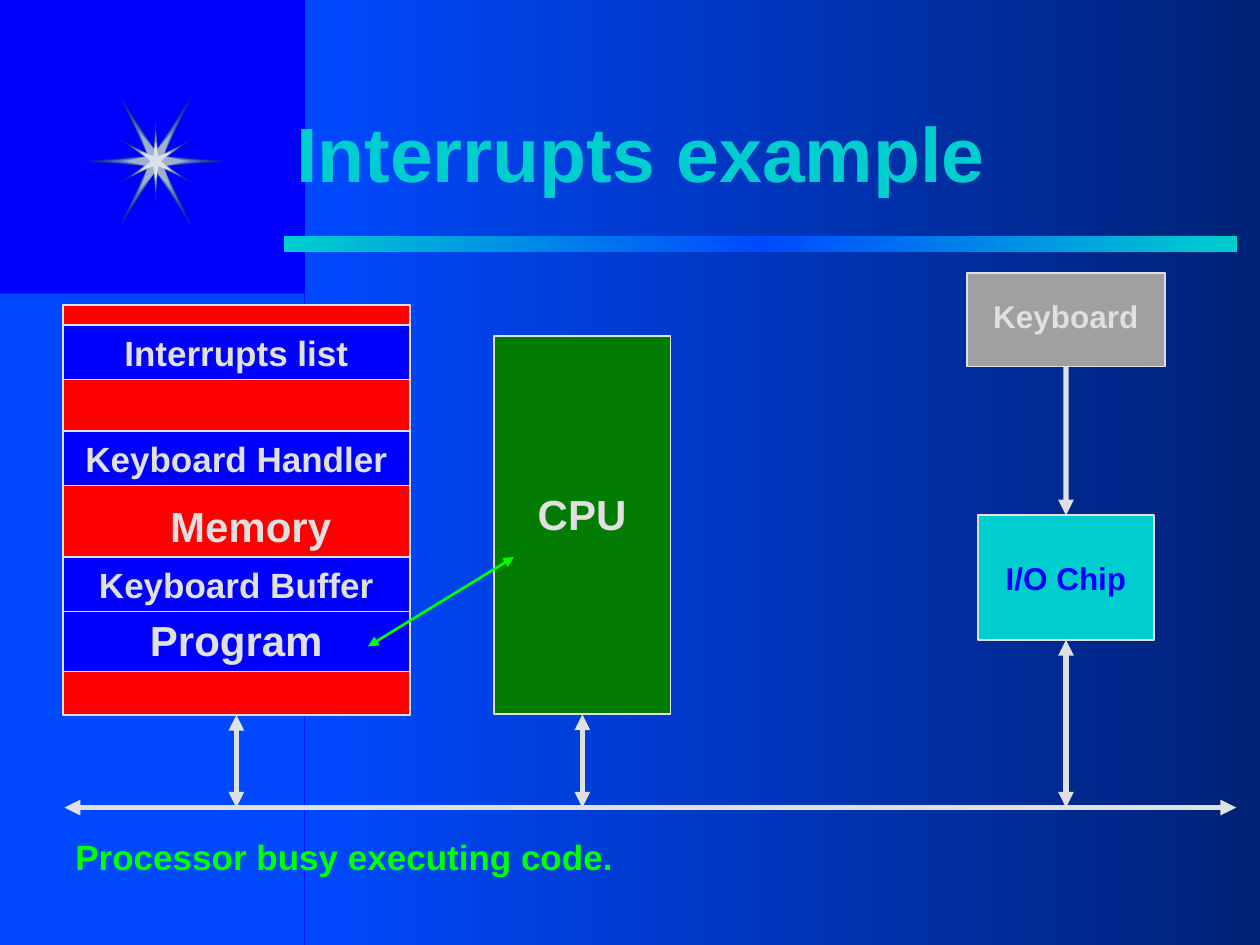
import copy
from dataclasses import dataclass
from typing import Optional

import lxml.etree
import pptx
import pptx.dml.color
import pptx.enum.shapes
import pptx.enum.text
import pptx.oxml
import pptx.oxml.ns
import pptx.util

Cm = pptx.util.Cm
Pt = pptx.util.Pt
qn = pptx.oxml.ns.qn
LEFT = pptx.enum.text.PP_ALIGN.LEFT
CENTER = pptx.enum.text.PP_ALIGN.CENTER
TOP = pptx.enum.text.MSO_ANCHOR.TOP
MIDDLE = pptx.enum.text.MSO_ANCHOR.MIDDLE
BOTTOM_SITE, TOP_SITE = 2, 0

COLORS = {
    "blue": "0000FF", "azure": "0049FF", "navy": "002276", "cyan": "00CECE",
    "light": "E0E0E0", "gray": "A0A0A0", "red": "FF0000",
    "green": "037C03", "lime": "00FF00",
}

STAR_CENTER = (3.14, 3.25)
BROAD_RAYS = [((0.74, -1.34), (0.15, -0.1)), ((1.48, 0), (0.15, 0.1)),
              ((0.74, 1.34), (0, 0.2))]
THIN_RAYS = [((0, -0.86), (0.05, -0.1)), ((0.71, -0.43), (0.1, 0)),
             ((0.71, 0.43), (0.05, 0.1))]
STAR_LAYERS = [
    (BROAD_RAYS, 1, "0B2B9E"), (THIN_RAYS, 1, "102FA1"),
    (BROAD_RAYS, 0.8, "2645AC"), (THIN_RAYS, 0.73, "4464B9"),
    (BROAD_RAYS, 0.65, "4464B9"), (THIN_RAYS, 0.7, "4E6EBC"),
    (BROAD_RAYS, 0.61, "4E6EBC"), (THIN_RAYS, 0.66, "5A79C0"),
    (THIN_RAYS, 0.59, "7992C6"), (BROAD_RAYS, 0.49, "7992C6"),
    (BROAD_RAYS, 0.41, "A0B0CE"), (THIN_RAYS, 0.46, "D9D9D9"),
    (THIN_RAYS, 0.43, "DCE0ED"),
]


@dataclass
class Area:
    left: float
    top: float
    width: float
    height: float

    @property
    def center(self) -> float:
        return self.left + self.width / 2

    @property
    def bottom(self) -> float:
        return self.top + self.height

    def lengths(self) -> list:
        return [Cm(n) for n in (self.left, self.top, self.width, self.height)]


@dataclass
class Caption:
    text: str
    area: Area
    size: int
    color: str = "light"
    align: int = LEFT
    anchor: int = TOP
    wrap: bool = True


MEMORY = Area(1.27, 6.15, 6.99, 8.26)
CPU = Area(9.96, 6.78, 3.56, 7.62)
KEYBOARD = Area(19.49, 5.51, 4, 1.88)
CHIP = Area(19.71, 10.39, 3.56, 2.51)
BUS_LEVEL = 16.28


def memory_band(text: str, top: float, height: float = 1.1, size: int = 20) -> Caption:
    return Caption(text, Area(MEMORY.left, top, MEMORY.width, height), size, align=CENTER)


BANDS = [
    memory_band("Program", 12.27, 1.27, 24),
    memory_band("Interrupts list", 6.55),
    memory_band("Keyboard Handler", 8.69),
    memory_band("Keyboard Buffer", 11.23),
]
CAPTIONS = [
    Caption("I/O Chip", Area(19.69, 11.15, 3.6, 1.02), 18, "blue", CENTER),
    Caption("Keyboard", Area(19.48, 5.87, 4.01, 1.02), 18, align=CENTER),
    Caption("Memory", Area(3.18, 9.96, 3.76, 1.27), 24, wrap=False),
    Caption("CPU", Area(10.59, 9.73, 2.29, 1.27), 24, wrap=False),
    Caption("Processor busy executing code.", Area(1.27, 16.71, 23.7, 1.09), 20, "lime"),
]
TITLE = Caption("Interrupts example", Area(5.72, 1.47, 19.25, 3.18), 44, "cyan", anchor=MIDDLE)


def rgb(color: str):
    return pptx.dml.color.RGBColor.from_string(COLORS.get(color, color))


def add_box(slide, area: Area, fill: Optional[str] = None, outline: Optional[str] = None):
    box = slide.shapes.add_shape(pptx.enum.shapes.MSO_SHAPE.RECTANGLE, *area.lengths())
    box.shadow.inherit = False
    if fill:
        box.fill.solid()
        box.fill.fore_color.rgb = rgb(fill)
    if outline:
        box.line.color.rgb = rgb(outline)
        box.line.width = Pt(1)
    else:
        box.line.fill.background()
    return box


def add_gradient_box(slide, area: Area, colors: list) -> None:
    box = add_box(slide, area)
    box.fill.gradient()
    box.fill.gradient_angle = 0
    stop_list = box.element.spPr.find(".//" + qn("a:gsLst"))
    while len(stop_list) < len(colors):
        stop_list.append(copy.deepcopy(stop_list[-1]))
    for index, (stop, color) in enumerate(zip(box.fill.gradient_stops, colors)):
        stop.color.rgb = rgb(color)
        stop.position = index / (len(colors) - 1)


def add_star_layer(slide, rays: list, scale: float, color: str) -> None:
    half = [point for (x, y), notch in rays for point in ((x * scale, y * scale), notch)]
    outline = half + [(-x, -y) for x, y in half]
    points = [(Cm(STAR_CENTER[0] + x), Cm(STAR_CENTER[1] + y)) for x, y in outline]
    builder = slide.shapes.build_freeform(*points[0])
    builder.add_line_segments(points[1:], close=True)
    star = builder.convert_to_shape()
    star.shadow.inherit = False
    star.fill.solid()
    star.fill.fore_color.rgb = rgb(color)
    star.line.fill.background()


def write(holder, caption: Caption):
    frame = holder.text_frame
    frame.word_wrap = caption.wrap
    frame.vertical_anchor = caption.anchor
    paragraph = frame.paragraphs[0]
    paragraph.alignment = caption.align
    run = paragraph.add_run()
    run.text = caption.text
    run.font.name = "Arial"
    run.font.size = Pt(caption.size)
    run.font.bold = True
    run.font.color.rgb = rgb(caption.color)
    return run


def add_caption(slide, caption: Caption):
    return write(slide.shapes.add_textbox(*caption.area.lengths()), caption)


def add_text_shadow(run) -> None:
    effects = pptx.oxml.parse_xml(
        '<a:effectLst xmlns:a="http://schemas.openxmlformats.org/drawingml/2006/main">'
        '<a:outerShdw dist="38100" dir="2700000"><a:srgbClr val="000000"/>'
        '</a:outerShdw></a:effectLst>')
    run.font._element.find(qn("a:solidFill")).addnext(effects)


def add_arrow(slide, start: tuple, end: tuple, color: str = "light",
              width: float = 3, both: bool = True):
    arrow = slide.shapes.add_connector(
        pptx.enum.shapes.MSO_CONNECTOR.STRAIGHT, *[Cm(n) for n in start + end])
    arrow.line.color.rgb = rgb(color)
    arrow.line.width = Pt(width)
    line = arrow.line._get_or_add_ln()
    for tag in ("a:headEnd", "a:tailEnd") if both else ("a:tailEnd",):
        lxml.etree.SubElement(line, qn(tag), type="triangle")
    lxml.etree.SubElement(arrow.element.spPr, qn("a:effectLst"))
    return arrow


def main() -> None:
    deck = pptx.Presentation()
    deck.slide_width, deck.slide_height = Cm(25.4), Cm(19.05)
    slide = deck.slides.add_slide(deck.slide_layouts[6])
    slide.background.fill.solid()
    slide.background.fill.fore_color.rgb = rgb("blue")

    add_box(slide, Area(0, 5.92, 6.14, 13.13), "azure")
    add_gradient_box(slide, Area(6.14, 0, 19.26, 19.05), ["azure", "navy"])
    add_gradient_box(slide, Area(5.73, 4.76, 19.21, 0.32), ["cyan", "azure", "cyan"])
    for layer in STAR_LAYERS:
        add_star_layer(slide, *layer)
    add_text_shadow(add_caption(slide, TITLE))

    chip = add_box(slide, CHIP, "cyan", "light")
    keyboard = add_box(slide, KEYBOARD, "gray", "light")
    memory = add_box(slide, MEMORY, "red", "light")
    cpu = add_box(slide, CPU, "green", "light")
    for band in BANDS:
        write(add_box(slide, band.area, "blue", "light"), band)
    for caption in CAPTIONS:
        add_caption(slide, caption)

    add_arrow(slide, (1.3, BUS_LEVEL), (24.92, BUS_LEVEL))
    for part, area in ((memory, MEMORY), (cpu, CPU), (chip, CHIP)):
        bus_link = add_arrow(slide, (area.center, area.bottom), (area.center, BUS_LEVEL))
        bus_link.begin_connect(part, BOTTOM_SITE)
    key_signal = add_arrow(slide, (KEYBOARD.center, KEYBOARD.bottom),
                           (CHIP.center, CHIP.top), both=False)
    key_signal.begin_connect(keyboard, BOTTOM_SITE)
    key_signal.end_connect(chip, TOP_SITE)
    add_arrow(slide, (10.36, 11.23), (7.42, 13.03), "lime", 1.5)
    deck.save("out.pptx")


if __name__ == "__main__":
    main()
